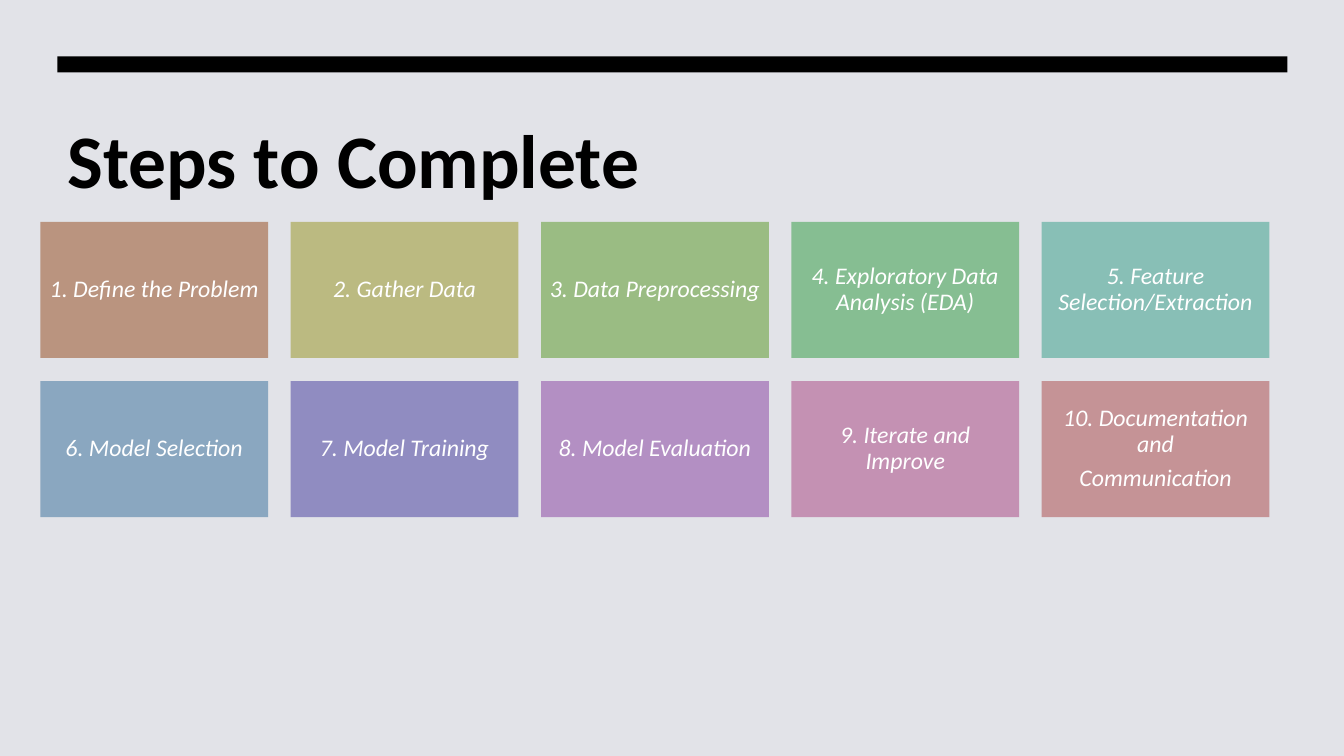
from dataclasses import dataclass

from pptx import Presentation
from pptx.dml.color import RGBColor
from pptx.enum.shapes import MSO_SHAPE
from pptx.enum.text import MSO_ANCHOR, PP_ALIGN
from pptx.shapes.autoshape import Shape
from pptx.slide import Slide
from pptx.util import Inches, Pt

FONT = "Calibri"
COLUMNS = 5
GRID_LEFT, GRID_TOP = 0.4, 2.2
CARD_W, CARD_H = 2.26, 1.35
STEP_X, STEP_Y = 2.483, 1.58


@dataclass(frozen=True)
class Step:
    text: str
    color: str


STEPS = [
    Step("1. Define the Problem", "BA947F"),
    Step("2. Gather Data", "BBBA81"),
    Step("3. Data Preprocessing", "9ABC83"),
    Step("4. Exploratory Data Analysis (EDA)", "86BE92"),
    Step("5. Feature Selection/Extraction", "88BFB6"),
    Step("6. Model Selection", "8AA7C0"),
    Step("7. Model Training", "908CC1"),
    Step("8. Model Evaluation", "B38FC3"),
    Step("9. Iterate and Improve", "C491B3"),
    Step("10. Documentation and\nCommunication", "C59396"),
]


def rgb(color: str) -> RGBColor:
    return RGBColor.from_string(color)


def add_rect(s: Slide, left: float, top: float, width: float, height: float,
             color: str) -> Shape:
    sp = s.shapes.add_shape(MSO_SHAPE.RECTANGLE, Inches(left), Inches(top),
                            Inches(width), Inches(height))
    sp.shadow.inherit = False
    sp.fill.solid()
    sp.fill.fore_color.rgb = rgb(color)
    sp.line.fill.background()
    return sp


def add_title(s: Slide, text: str) -> None:
    sp = s.shapes.title
    sp.left, sp.top = Inches(0.57), Inches(1.07)
    sp.width, sp.height = Inches(12.2), Inches(1.79)
    tf = sp.text_frame
    tf.text = text
    tf.vertical_anchor = MSO_ANCHOR.TOP
    p = tf.paragraphs[0]
    p.alignment = PP_ALIGN.LEFT
    p.font.name, p.font.size, p.font.bold = FONT, Pt(54), True
    p.font.color.rgb = rgb("000000")


def add_step(s: Slide, index: int, step: Step) -> None:
    """Place a step card in the grid, filling row by row."""
    row, col = divmod(index, COLUMNS)
    sp = add_rect(s, GRID_LEFT + col * STEP_X, GRID_TOP + row * STEP_Y,
                  CARD_W, CARD_H, step.color)
    tf = sp.text_frame
    tf.text = step.text
    tf.word_wrap = True
    tf.vertical_anchor = MSO_ANCHOR.MIDDLE
    tf.margin_left = tf.margin_right = Inches(0.07)
    tf.margin_top = tf.margin_bottom = Inches(0.07)
    for p in tf.paragraphs:
        p.alignment = PP_ALIGN.CENTER
        p.line_spacing = 0.9
        p.space_after = Pt(6)
        p.font.name, p.font.size, p.font.italic = FONT, Pt(17), True
        p.font.color.rgb = rgb("FFFFFF")


def main() -> None:
    prs = Presentation()
    prs.slide_width, prs.slide_height = Inches(13.33), Inches(7.5)
    s = prs.slides.add_slide(prs.slide_layouts[5])
    s.background.fill.solid()
    s.background.fill.fore_color.rgb = rgb("E2E3E8")
    add_title(s, "Steps to Complete")
    add_rect(s, 0.57, 0.56, 12.2, 0.16, "000000")
    for index, step in enumerate(STEPS):
        add_step(s, index, step)
    prs.save("out.pptx")


if __name__ == "__main__":
    main()
